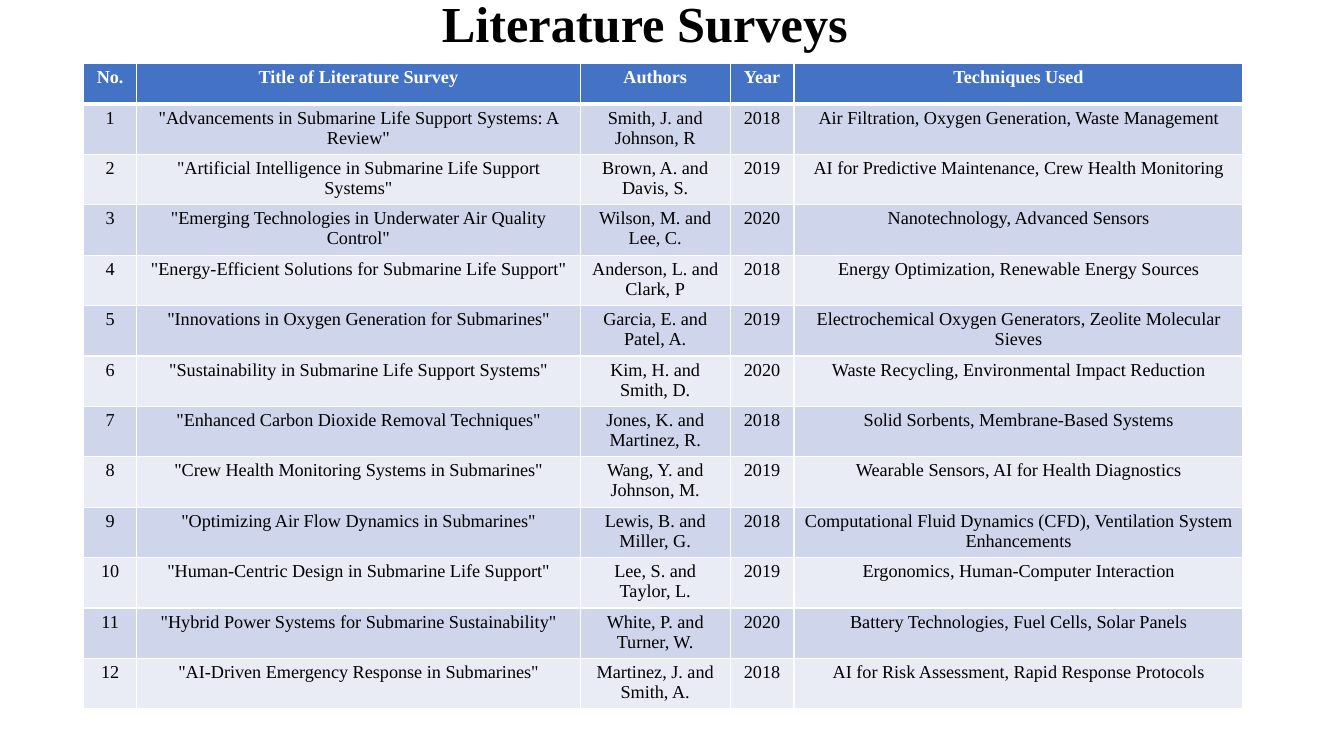
import pptx
import pptx.dml.color
import pptx.enum.text
import pptx.oxml.ns
import pptx.util
from lxml import etree

Cm = pptx.util.Cm
Pt = pptx.util.Pt
FONT = "Times New Roman"
COLORS = {
    "head": "4472C4",
    "odd": "CFD5EA",
    "even": "E9EBF5",
    "white": "FFFFFF",
    "black": "000000",
}
WIDTHS = [1.33, 11.18, 3.78, 1.61, 11.31]
HEAD = ["No.", "Title of Literature Survey", "Authors", "Year", "Techniques Used"]
SURVEYS = [
    ("Advancements in Submarine Life Support Systems: A Review",
     "Smith, J. and Johnson, R", 2018,
     "Air Filtration, Oxygen Generation, Waste Management"),
    ("Artificial Intelligence in Submarine Life Support Systems",
     "Brown, A. and Davis, S.", 2019,
     "AI for Predictive Maintenance, Crew Health Monitoring"),
    ("Emerging Technologies in Underwater Air Quality Control",
     "Wilson, M. and Lee, C.", 2020,
     "Nanotechnology, Advanced Sensors"),
    ("Energy-Efficient Solutions for Submarine Life Support",
     "Anderson, L. and Clark, P", 2018,
     "Energy Optimization, Renewable Energy Sources"),
    ("Innovations in Oxygen Generation for Submarines",
     "Garcia, E. and Patel, A.", 2019,
     "Electrochemical Oxygen Generators, Zeolite Molecular Sieves"),
    ("Sustainability in Submarine Life Support Systems",
     "Kim, H. and Smith, D.", 2020,
     "Waste Recycling, Environmental Impact Reduction"),
    ("Enhanced Carbon Dioxide Removal Techniques",
     "Jones, K. and Martinez, R.", 2018,
     "Solid Sorbents, Membrane-Based Systems"),
    ("Crew Health Monitoring Systems in Submarines",
     "Wang, Y. and Johnson, M.", 2019,
     "Wearable Sensors, AI for Health Diagnostics"),
    ("Optimizing Air Flow Dynamics in Submarines",
     "Lewis, B. and Miller, G.", 2018,
     "Computational Fluid Dynamics (CFD), Ventilation System Enhancements"),
    ("Human-Centric Design in Submarine Life Support",
     "Lee, S. and Taylor, L.", 2019,
     "Ergonomics, Human-Computer Interaction"),
    ("Hybrid Power Systems for Submarine Sustainability",
     "White, P. and Turner, W.", 2020,
     "Battery Technologies, Fuel Cells, Solar Panels"),
    ("AI-Driven Emergency Response in Submarines",
     "Martinez, J. and Smith, A.", 2018,
     "AI for Risk Assessment, Rapid Response Protocols"),
]


def rgb(name):
    return pptx.dml.color.RGBColor.from_string(COLORS[name])


def write(frame, text, size, color, bold):
    """Put one centred paragraph in the frame."""
    frame.text = text
    line = frame.paragraphs[0]
    line.alignment = pptx.enum.text.PP_ALIGN.CENTER
    for run in line.runs:
        run.font.name = FONT
        run.font.size = Pt(size)
        run.font.bold = bold
        run.font.color.rgb = rgb(color)
    return line


def add_title(slide, text):
    box = slide.shapes.add_textbox(Cm(1.65), Cm(0.03), Cm(29.21), Cm(1.27))
    frame = box.text_frame
    frame.word_wrap = True
    frame.vertical_anchor = pptx.enum.text.MSO_ANCHOR.MIDDLE
    write(frame, text, 36, "black", True).line_spacing = 0.9


def add_edges(cell, top, base):
    """Draw white borders; top and base are widths in points."""
    qn = pptx.oxml.ns.qn
    props = cell._tc.get_or_add_tcPr()
    for side, width in (("L", 1), ("R", 1), ("T", top), ("B", base)):
        edge = etree.SubElement(props, qn("a:ln" + side), w=str(Pt(width)))
        fill = etree.SubElement(edge, qn("a:solidFill"))
        etree.SubElement(fill, qn("a:srgbClr"), val=COLORS["white"])


def add_grid(slide, rows):
    tall, high = 1.01, 1.27
    shape = slide.shapes.add_table(
        len(rows), len(WIDTHS), Cm(2.11), Cm(1.61),
        Cm(sum(WIDTHS)), Cm(tall + high * (len(rows) - 1)))
    table = shape.table
    for col, width in zip(table.columns, WIDTHS):
        col.width = Cm(width)
    for i, row in enumerate(rows):
        head = i == 0
        table.rows[i].height = Cm(tall if head else high)
        shade = "head" if head else "odd" if i % 2 else "even"
        for j, text in enumerate(row):
            cell = table.cell(i, j)
            cell.margin_top = Cm(0.1)
            cell.margin_bottom = Cm(0)
            add_edges(cell, 3 if i == 1 else 1, 3 if head else 1)
            cell.fill.solid()
            cell.fill.fore_color.rgb = rgb(shade)
            write(cell.text_frame, text, 13, "white" if head else "black", head)


def main():
    deck = pptx.Presentation()
    deck.slide_width = Cm(33.87)
    deck.slide_height = Cm(19.05)
    slide = deck.slides.add_slide(deck.slide_layouts[6])
    add_title(slide, "Literature Surveys")
    rows = [HEAD]
    for num, (title, names, year, tools) in enumerate(SURVEYS, 1):
        rows.append([str(num), f'"{title}"', names, str(year), tools])
    add_grid(slide, rows)
    deck.save("out.pptx")


if __name__ == "__main__":
    main()
